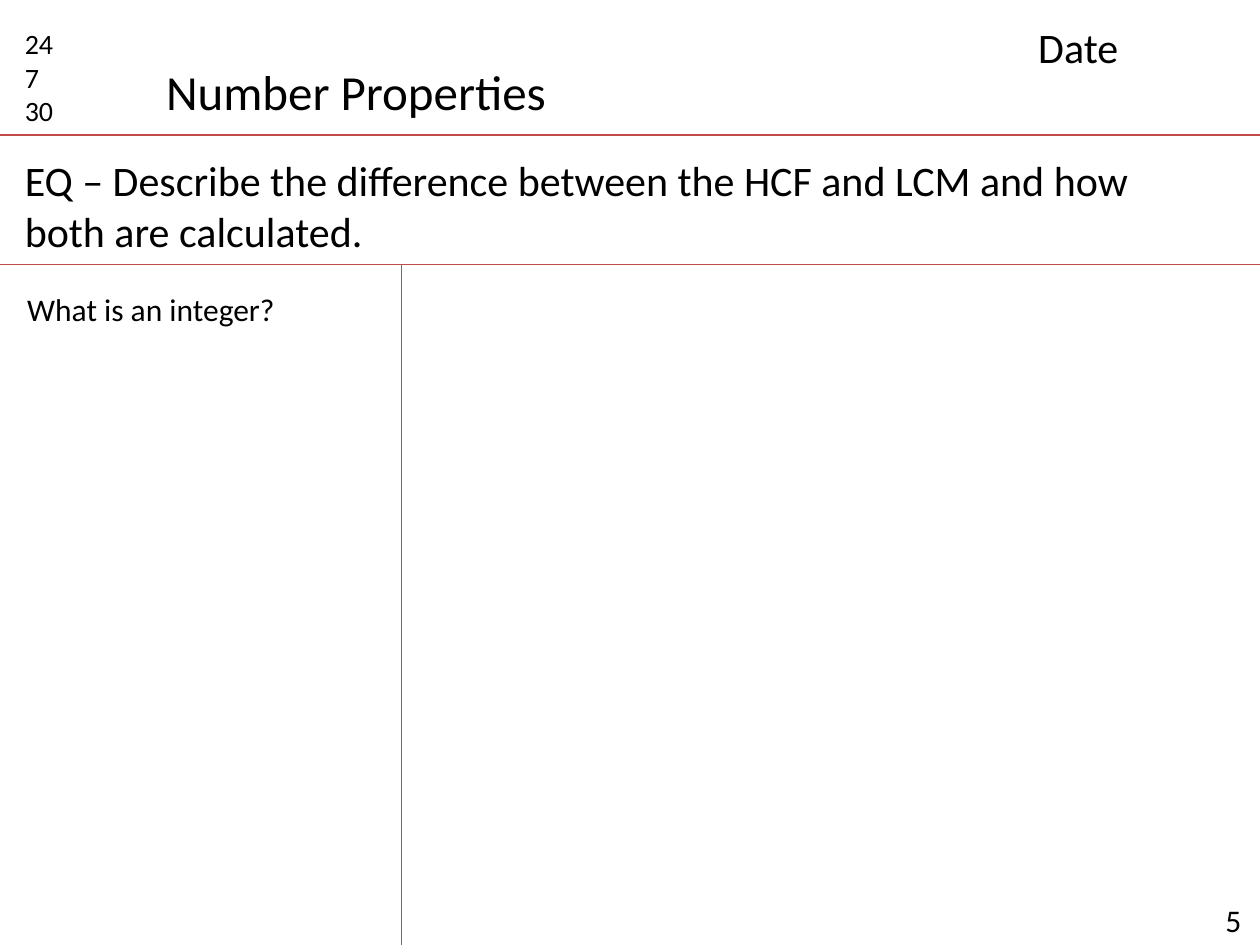
import pptx
import pptx.dml.color
import pptx.enum.shapes
import pptx.enum.text
import pptx.oxml
import pptx.oxml.ns
import pptx.util

Cm = pptx.util.Cm
WIDTH, HEIGHT = 25.4, 19.05
HEADER_Y, QUESTION_Y = 2.72, 5.33
MARGIN_X, DIVIDER_X, DIVIDER_END = 0.25, 8.1, 19.53


def color(value):
    return pptx.dml.color.RGBColor.from_string(value)


class Notes:
    font = "Calibri"
    ink = "000000"
    rule = "BF4C48"
    rule_width = 0.75

    def __init__(self, slide):
        self.slide = slide

    def text(self, x, y, w, h, lines, size, wrap=True):
        sp = self.slide.shapes.add_textbox(Cm(x), Cm(y), Cm(w), Cm(h))
        tf = sp.text_frame
        frame = {
            "word_wrap": wrap,
            "auto_size": pptx.enum.text.MSO_AUTO_SIZE.SHAPE_TO_FIT_TEXT,
        }
        for name, value in frame.items():
            setattr(tf, name, value)
        for i, line in enumerate(lines):
            p = tf.add_paragraph() if i else tf.paragraphs[0]
            r = p.add_run()
            r.text = line
            for name, value in {"name": self.font, "size": pptx.util.Pt(size)}.items():
                setattr(r.font, name, value)
            r.font.color.rgb = color(self.ink)

    def line(self, x1, y1, x2, y2):
        sp = self.slide.shapes.add_connector(
            pptx.enum.shapes.MSO_CONNECTOR.STRAIGHT, Cm(x1), Cm(y1), Cm(x2), Cm(y2)
        )
        sp.line.color.rgb = color(self.rule)
        sp.line.width = pptx.util.Pt(self.rule_width)
        props = sp._element.spPr
        props.append(pptx.oxml.parse_xml(
            "<a:effectLst %s/>" % pptx.oxml.ns.nsdecls("a")
        ))


def main():
    prs = pptx.Presentation()
    for name, value in {"slide_width": WIDTH, "slide_height": HEIGHT}.items():
        setattr(prs, name, Cm(value))
    s = Notes(prs.slides.add_slide(prs.slide_layouts[6]))

    s.text(24.31, 18.03, 1.52, 1.02, [" 5"], 18)
    for y in (HEADER_Y, QUESTION_Y):
        s.line(0, y, WIDTH, y)
    s.text(MARGIN_X, 0.41, 1.6, 2.31, ["24", "7", "30"], 16)
    s.line(DIVIDER_X, QUESTION_Y, DIVIDER_X, DIVIDER_END)
    s.text(3.1, 1.12, 8.25, 1.45, ["Number Properties"], 28, wrap=False)
    s.text(20.68, 0.3, 4.39, 1.27, ["Date"], 24)
    question = "EQ – Describe the difference between the HCF and LCM and how both are calculated."
    s.text(MARGIN_X, 3, 23.95, 2.31, [question], 24)
    s.text(0.3, 5.72, 5.56, 1.02, ["What is an integer?"], 18, wrap=False)

    prs.save("out.pptx")


if __name__ == "__main__":
    main()
